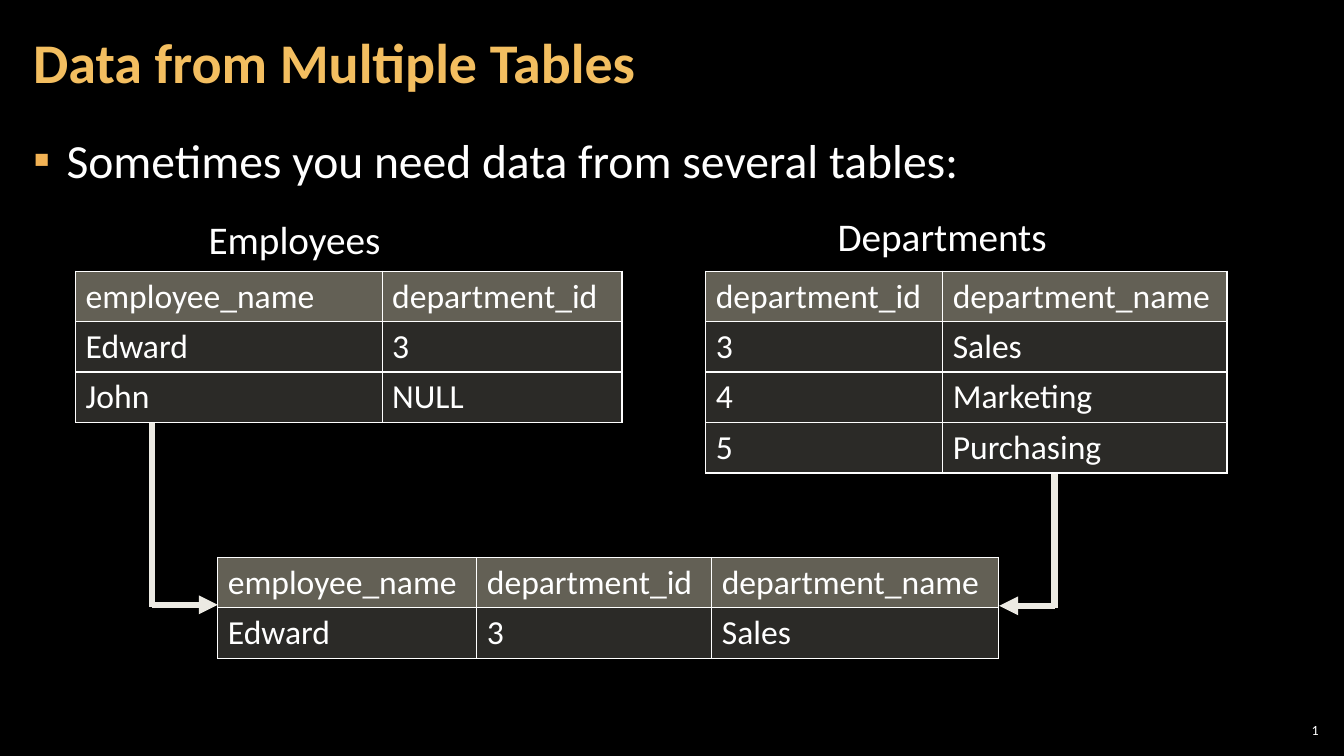
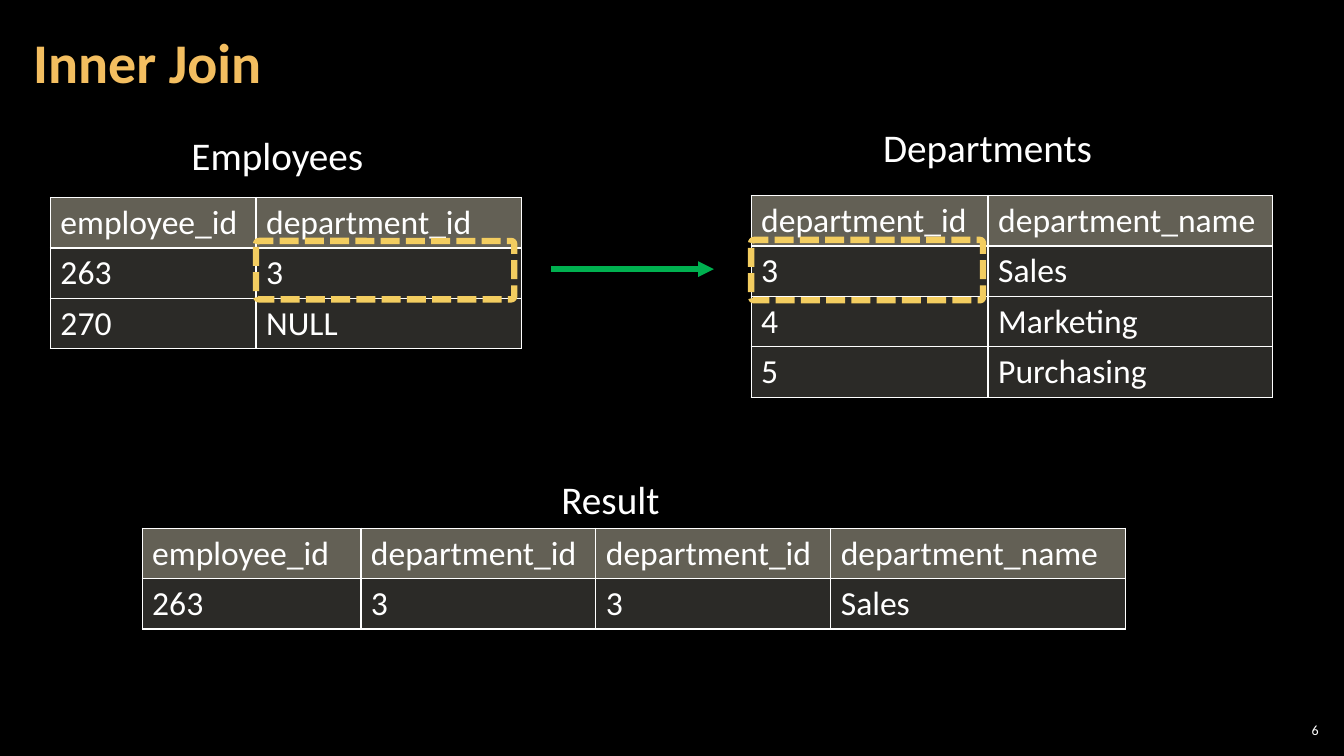
from dataclasses import dataclass
from typing import Any

from pptx import Presentation
from pptx.dml.color import RGBColor
from pptx.enum.dml import MSO_LINE
from pptx.enum.shapes import MSO_CONNECTOR, MSO_SHAPE
from pptx.enum.text import MSO_ANCHOR, PP_ALIGN
from pptx.oxml.ns import qn
from pptx.util import Inches, Pt
from lxml.etree import SubElement

COLORS = {
    "background": "000000",
    "text": "FFFFFF",
    "title": "F3BE60",
    "bullet": "F2B254",
    "header": "C6C0AA",
    "body": "D9D5C7",
    "elbow": "ECEAE3",
    "match": "00B050",
    "highlight": "F3CD60",
}
FONT = "Calibri"
ROW_HEIGHT = 0.5
HEADER_ALPHA, BODY_ALPHA = 50, 20  # percent
DEPARTMENT_COLS = [2.35, 2.82]
DEPARTMENT_ROWS = [
    ["department_id", "department_name"],
    ["3", "Sales"],
    ["4", "Marketing"],
    ["5", "Purchasing"],
]


@dataclass
class TextStyle:
    font: dict[str, Any]
    color: str = "text"
    frame: dict[str, Any] | None = None
    paragraph: dict[str, Any] | None = None


@dataclass
class Box:
    left: float
    top: float
    width: float
    height: float

    def lengths(self) -> list[Inches]:
        return [Inches(v) for v in (self.left, self.top, self.width, self.height)]


@dataclass
class DataTable:
    left: float
    top: float
    cols: list[float]
    rows: list[list[str]]
    caption: str = ""
    caption_box: Box | None = None


@dataclass
class Line:
    start: tuple[float, float]
    end: tuple[float, float]
    color: str
    width: float
    arrow: bool = False


def insets(x: float, y: float) -> dict[str, Any]:
    return {
        "margin_left": Inches(x), "margin_right": Inches(x),
        "margin_top": Inches(y), "margin_bottom": Inches(y),
    }


TITLE = TextStyle(
    {"size": Pt(40), "bold": True}, "title",
    {"word_wrap": True, "vertical_anchor": MSO_ANCHOR.MIDDLE, **insets(0.12, 0.04)},
    {"line_spacing": 0.9},
)
BODY = TextStyle(
    {"size": Pt(34)},
    frame={"word_wrap": True, **insets(0.12, 0.04)},
    paragraph={"space_before": Pt(6), "space_after": Pt(6)},
)
NUMBER = TextStyle(
    {"size": Pt(10)},
    frame={"word_wrap": True, "vertical_anchor": MSO_ANCHOR.MIDDLE, **insets(0.04, 0.04)},
    paragraph={"alignment": PP_ALIGN.RIGHT},
)
CAPTION = TextStyle({"size": Pt(28)}, frame={"word_wrap": False})
CELL = TextStyle({"size": Pt(24), "bold": False})


def rgb(name: str) -> RGBColor:
    return RGBColor.from_string(COLORS[name])


def set_all(target: Any, values: dict[str, Any] | None) -> None:
    for name, value in (values or {}).items():
        setattr(target, name, value)


def write(tf: Any, text: str, style: TextStyle) -> Any:
    set_all(tf, style.frame)
    p = tf.paragraphs[0]
    set_all(p, style.paragraph)
    r = p.add_run()
    r.text = text
    set_all(r.font, {"name": FONT, **style.font})
    r.font.color.rgb = rgb(style.color)
    return p


def add_text(s: Any, box: Box, text: str, style: TextStyle) -> Any:
    return write(s.shapes.add_textbox(*box.lengths()).text_frame, text, style)


def add_bullet(s: Any, box: Box, text: str) -> None:
    pPr = add_text(s, box, text, BODY)._p.get_or_add_pPr()
    indent = Inches(0.33)
    pPr.set("marL", str(indent))
    pPr.set("indent", str(-indent))
    SubElement(SubElement(pPr, qn("a:buClr")), qn("a:srgbClr"), val=COLORS["bullet"])
    SubElement(pPr, qn("a:buFont"), typeface=FONT)
    SubElement(pPr, qn("a:buChar"), char="▪")


def format_cell(cell: Any, color: str, alpha: int) -> None:
    tcPr = cell._tc.get_or_add_tcPr()
    # Borders come before the fill in the cell properties
    for side in ("lnL", "lnR", "lnT", "lnB"):
        ln = SubElement(tcPr, qn(f"a:{side}"), w=str(Pt(1)))
        SubElement(SubElement(ln, qn("a:solidFill")), qn("a:srgbClr"), val=COLORS["text"])
    cell.fill.solid()
    cell.fill.fore_color.rgb = rgb(color)
    clr = tcPr.find(qn("a:solidFill")).find(qn("a:srgbClr"))
    SubElement(clr, qn("a:alpha"), val=str(alpha * 1000))


def add_data_table(s: Any, data: DataTable) -> None:
    box = Box(data.left, data.top, sum(data.cols), ROW_HEIGHT * len(data.rows))
    table = s.shapes.add_table(len(data.rows), len(data.cols), *box.lengths()).table
    for col, width in zip(table.columns, data.cols):
        col.width = Inches(width)
    for i, row in enumerate(data.rows):
        table.rows[i].height = Inches(ROW_HEIGHT)
        fill = ("body", BODY_ALPHA) if i else ("header", HEADER_ALPHA)
        for j, text in enumerate(row):
            cell = table.cell(i, j)
            write(cell.text_frame, text, CELL)
            format_cell(cell, *fill)
    if data.caption_box:
        add_text(s, data.caption_box, data.caption, CAPTION)


def add_line(s: Any, line: Line) -> None:
    ends = [Inches(v) for v in (*line.start, *line.end)]
    sp = s.shapes.add_connector(MSO_CONNECTOR.STRAIGHT, *ends)
    sp.line.color.rgb = rgb(line.color)
    sp.line.width = Pt(line.width)
    if line.arrow:
        SubElement(sp.line._get_or_add_ln(), qn("a:tailEnd"), type="triangle")
    SubElement(sp._element.spPr, qn("a:effectLst"))


def add_elbow(s: Any, start: tuple[float, float], end: tuple[float, float]) -> None:
    """Go down from start, then across to an arrowhead at end."""
    corner = (start[0], end[1])
    add_line(s, Line(start, (corner[0], corner[1] + 0.02), "elbow", 4.5))
    add_line(s, Line(corner, end, "elbow", 4.5, arrow=True))


def add_highlight(s: Any, box: Box) -> None:
    sp = s.shapes.add_shape(MSO_SHAPE.ROUNDED_RECTANGLE, *box.lengths())
    sp.adjustments[0] = 0.05
    sp.shadow.inherit = False
    sp.fill.background()
    sp.line.color.rgb = rgb("highlight")
    set_all(sp.line, {"width": Pt(4.5), "dash_style": MSO_LINE.SQUARE_DOT})


def add_slide(prs: Any, title: str, number: int) -> Any:
    s = prs.slides.add_slide(prs.slide_layouts[6])
    s.background.fill.solid()
    s.background.fill.fore_color.rgb = rgb("background")
    add_text(s, Box(0.21, 0.04, 10.47, 1.21), title, TITLE)
    add_text(s, Box(12.65, 7.14, 0.47, 0.21), str(number), NUMBER)
    return s


def build_multiple_tables(prs: Any) -> None:
    s = add_slide(prs, "Data from Multiple Tables", 1)
    add_bullet(s, Box(0.21, 1.26, 12.91, 6.09), "Sometimes you need data from several tables:")
    # Elbow arrows into the combined table
    add_elbow(s, (10.46, 4.69), (9.91, 6.01))
    add_elbow(s, (1.51, 4.19), (2.16, 6))
    # Source tables and the combined one
    for data in (
        DataTable(0.75, 2.69, [3.04, 2.38],
                  [["employee_name", "department_id"], ["Edward", "3"], ["John", "NULL"]],
                  "Employees", Box(1.97, 2.09, 1.92, 0.57)),
        DataTable(7, 2.69, DEPARTMENT_COLS, DEPARTMENT_ROWS,
                  "Departments", Box(8.21, 2.06, 2.3, 0.57)),
        DataTable(2.16, 5.53, [2.57, 2.33, 2.84],
                  [["employee_name", "department_id", "department_name"],
                   ["Edward", "3", "Sales"]]),
    ):
        add_data_table(s, data)


def build_inner_join(prs: Any) -> None:
    s = add_slide(prs, "Inner Join", 6)
    # Source tables and the join result
    for data in (
        DataTable(0.5, 1.96, [2.04, 2.63],
                  [["employee_id", "department_id"], ["263", "3"], ["270", "NULL"]],
                  "Employees", Box(1.8, 1.25, 1.92, 0.57)),
        DataTable(7.45, 1.94, DEPARTMENT_COLS, DEPARTMENT_ROWS,
                  "Departments", Box(8.66, 1.17, 2.3, 0.57)),
        DataTable(1.41, 5.24, [2.17, 2.33, 2.33, 2.92],
                  [["employee_id", "department_id", "department_id", "department_name"],
                   ["263", "3", "3", "Sales"]],
                  "Result", Box(5.47, 4.67, 1.19, 0.57)),
    ):
        add_data_table(s, data)
    # Matching keys
    add_line(s, Line((5.47, 2.67), (7.08, 2.67), "match", 3.75, arrow=True))
    for box in (Box(2.54, 2.39, 2.56, 0.58), Box(7.45, 2.38, 2.3, 0.6)):
        add_highlight(s, box)


def main() -> None:
    prs = Presentation()
    set_all(prs, {"slide_width": Inches(13.33), "slide_height": Inches(7.5)})
    build_multiple_tables(prs)
    build_inner_join(prs)
    prs.save("out.pptx")


if __name__ == "__main__":
    main()
